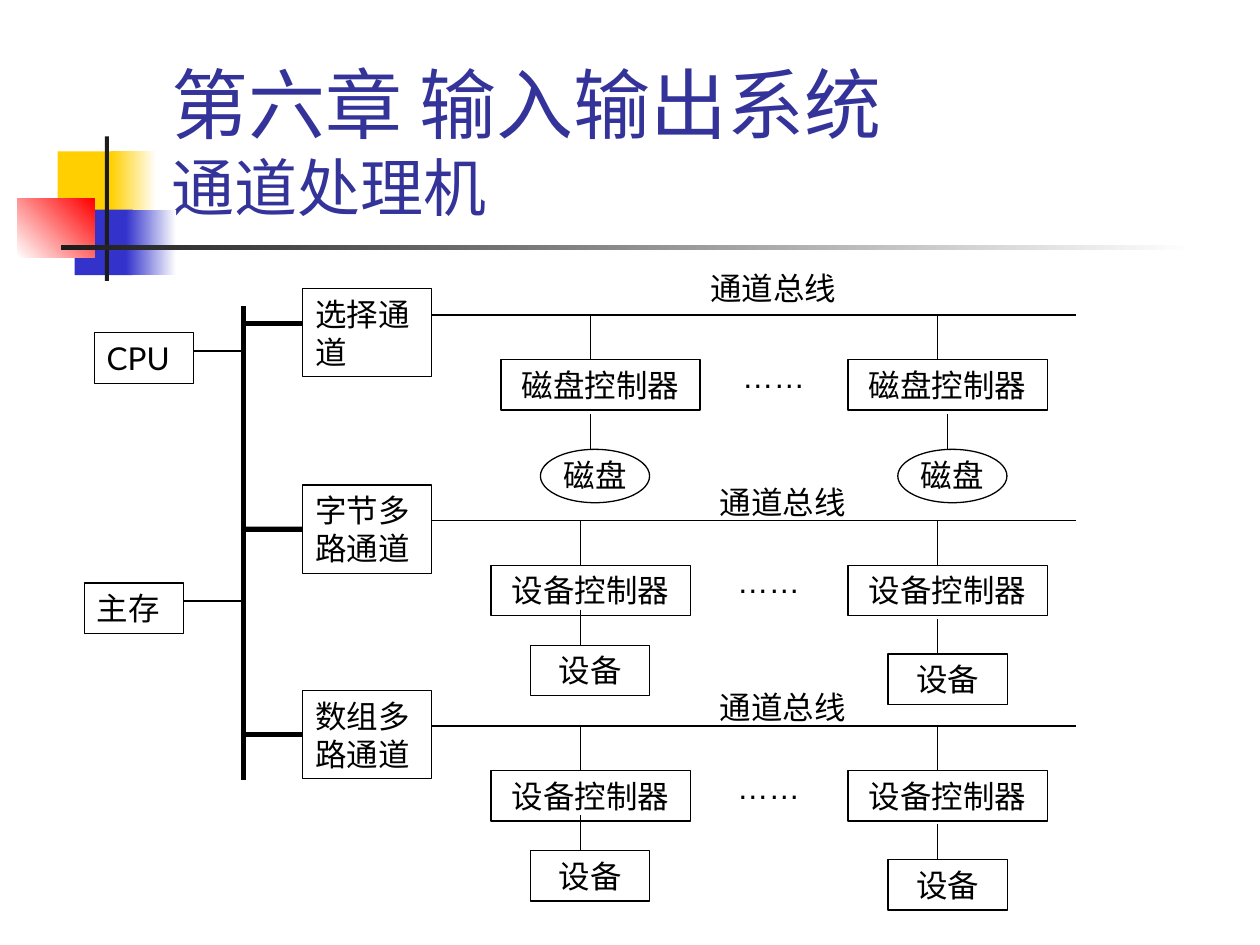
from dataclasses import dataclass

from lxml import etree
from pptx import Presentation
from pptx.dml.color import RGBColor
from pptx.enum import shapes, text
from pptx.oxml.ns import qn
from pptx.util import Pt

COLORS = {
    "yellow": "FFCF01", "blue": "3333CC", "red": "FF0000", "white": "FFFFFF",
    "dark": "1C1C1C", "title": "333399", "ink": "000000",
}
RECT, OVAL = shapes.MSO_SHAPE.RECTANGLE, shapes.MSO_SHAPE.OVAL
THIN, THICK = 0.75, 3
LEFT, CENTER = text.PP_ALIGN.LEFT, text.PP_ALIGN.CENTER

BOX_HEIGHT = 28.8
TRUNK_X = 139
CHANNEL_X, CHANNEL_WIDTH, CHANNEL_HEIGHT = 173, 73.5, 50.4
BUS_END = 615
FIRST_BUS_Y, BUS_PITCH = 180, 117.4
CONTROLLER_WIDTH, CONTROLLER_DROP = 113.8, 25.6


@dataclass
class Block:
    """A decorative rectangle, plain or fading from start to end colour."""
    left: float
    top: float
    width: float
    height: float
    start: str
    end: str = ""
    angle: float = 0


@dataclass
class Unit:
    """A controller with its device, hanging from a bus."""
    drop_x: float
    controller_x: float
    stem_x: float
    stem_top: float
    device_x: float
    device_top: float


@dataclass
class Channel:
    name: str
    box_rise: float
    label_x: float
    label_width: float
    label_rise: float
    dots_x: float
    dots_width: float
    controller: str
    device: str
    device_shape: int
    device_width: float
    units: tuple


def rgb(name: str) -> RGBColor:
    return RGBColor.from_string(COLORS[name])


def add_block(page, block: Block) -> None:
    shape = page.shapes.add_shape(
        RECT, Pt(block.left), Pt(block.top), Pt(block.width), Pt(block.height))
    shape.shadow.inherit = False
    shape.line.fill.background()
    if not block.end:
        shape.fill.solid()
        shape.fill.fore_color.rgb = rgb(block.start)
        return
    shape.fill.gradient()
    shape.fill.gradient_angle = block.angle
    for stop, position, color in zip(
            shape.fill.gradient_stops, (0, 1), (block.start, block.end)):
        stop.position = position
        stop.color.rgb = rgb(color)


def add_line(group, x1: float, y1: float, x2: float, y2: float, width: float = THIN):
    line = group.shapes.add_connector(
        shapes.MSO_CONNECTOR.STRAIGHT, Pt(x1), Pt(y1), Pt(x2), Pt(y2))
    line.line.color.rgb = rgb("ink")
    line.line.width = Pt(width)
    etree.SubElement(line._element.spPr, qn("a:effectLst"))
    return line


def write(box, words: str, align=CENTER, font: str = "Lato") -> None:
    frame = box.text_frame
    frame.word_wrap = True
    frame.vertical_anchor = text.MSO_ANCHOR.TOP
    para = frame.paragraphs[0]
    para.text = words
    para.alignment = align
    para.font.name = font
    para.font.size = Pt(18)
    para.font.color.rgb = rgb("ink")


def add_outline(group, kind, left: float, top: float, width: float, height: float):
    shape = group.shapes.add_shape(kind, Pt(left), Pt(top), Pt(width), Pt(height))
    shape.shadow.inherit = False
    shape.fill.background()
    shape.line.color.rgb = rgb("ink")
    shape.line.width = Pt(THIN)
    return shape


def add_box(group, words: str, left: float, top: float, width: float,
            height: float = BOX_HEIGHT, align=CENTER):
    box = add_outline(group, RECT, left, top, width, height)
    write(box, words, align)
    return box


def add_label(group, words: str, left: float, top: float, width: float,
              font: str = "Lato") -> None:
    box = group.shapes.add_textbox(Pt(left), Pt(top), Pt(width), Pt(BOX_HEIGHT))
    write(box, words, font=font)


def add_unit(group, channel: Channel, unit: Unit, bus_y: float) -> None:
    controller_y = bus_y + CONTROLLER_DROP
    device_y = bus_y + unit.device_top
    add_line(group, unit.drop_x, bus_y, unit.drop_x, controller_y)
    add_box(group, channel.controller, unit.controller_x, controller_y, CONTROLLER_WIDTH)
    add_line(group, unit.stem_x, bus_y + unit.stem_top, unit.stem_x, device_y)
    if channel.device_shape == OVAL:
        add_outline(group, OVAL, unit.device_x, device_y, channel.device_width, 30.5)
        add_label(group, channel.device, unit.device_x, device_y, channel.device_width)
    else:
        add_box(group, channel.device, unit.device_x, device_y, channel.device_width)


def add_channel(group, channel: Channel, bus_y: float) -> None:
    box_y = bus_y - channel.box_rise
    link_y = bus_y + 5
    box = add_box(group, channel.name, CHANNEL_X, box_y, CHANNEL_WIDTH,
                  CHANNEL_HEIGHT, LEFT)
    link = add_line(group, TRUNK_X, link_y, CHANNEL_X, link_y, THICK)
    if abs(box_y + CHANNEL_HEIGHT / 2 - link_y) < 0.5:
        link.end_connect(box, 1)
    add_line(group, CHANNEL_X + CHANNEL_WIDTH, bus_y, BUS_END, bus_y)
    add_label(group, "通道总线", channel.label_x, bus_y - channel.label_rise,
              channel.label_width)
    add_label(group, "……", channel.dots_x, bus_y + 20.5, channel.dots_width, "Arial")
    for unit in channel.units:
        add_unit(group, channel, unit, bus_y)


def add_title(page) -> None:
    title = page.shapes.title
    title.left, title.top, title.width, title.height = Pt(90.7), Pt(16.6), Pt(613.4), Pt(115.2)
    frame = title.text_frame
    frame.word_wrap = True
    frame.auto_size = text.MSO_AUTO_SIZE.NONE
    frame.vertical_anchor = text.MSO_ANCHOR.BOTTOM
    para = frame.paragraphs[0]
    para.alignment = LEFT
    para.font.name = "Lato"
    para.font.color.rgb = rgb("title")
    chapter = para.add_run()
    chapter.text, chapter.font.size = "第六章 输入输出系统", Pt(44)
    para.add_line_break()
    topic = para.add_run()
    topic.text, topic.font.size = "通道处理机", Pt(36)


BLOCKS = (
    Block(33, 86.5, 34.5, 37.5, "yellow"),
    Block(63.4, 86.5, 26, 37.5, "yellow", "white"),
    Block(42.6, 119.8, 33.2, 37.4, "blue"),
    Block(72, 119.8, 28.6, 37.4, "blue", "white"),
    Block(9.8, 113.7, 44.3, 33.3, "white", "red", 45),
    Block(59.9, 78, 2.4, 82.6, "dark"),
    Block(34.8, 140.2, 648, 2.4, "dark", "white"),
)
DISK_UNITS = (Unit(337.5, 286.3, 337.5, 56.3, 308.8, 76.8),
              Unit(535.6, 484.6, 541.4, 56.3, 513, 76.8))
DEVICE_UNITS = (Unit(331.8, 280.6, 331.8, 51, 303.1, 71.3),
                Unit(535.6, 484.6, 535.6, 56.3, 507.4, 76.4))
DISK = (393.5, 96.5, 30, 405.4, 73.4, "磁盘控制器", "磁盘", OVAL, 62.4, DISK_UNITS)
DEVICE = (388, 118.8, 25.2, 399.6, 79.2, "设备控制器", "设备", RECT, 68.2, DEVICE_UNITS)
CHANNELS = (
    Channel("选择通道", 15.1, *DISK),
    Channel("字节多路通道", 20.2, *DEVICE),
    Channel("数组多路通道", 20.2, *DEVICE),
)


def main() -> None:
    deck = Presentation()
    deck.slide_width, deck.slide_height = Pt(720), Pt(540)
    page = deck.slides.add_slide(deck.slide_layouts[5])
    for block in BLOCKS:
        add_block(page, block)
    add_title(page)

    group = page.shapes.add_group_shape()
    add_line(group, TRUNK_X, 175, TRUNK_X, 445.5, THICK)
    for words, left, top in (("CPU", 53.9, 190.2), ("主存", 48.2, 333.1)):
        add_box(group, words, left, top, 56.8, align=LEFT)
        add_line(group, left + 56.8, top + 10.4, TRUNK_X, top + 10.4)
    for index, channel in enumerate(CHANNELS):
        add_channel(group, channel, FIRST_BUS_Y + index * BUS_PITCH)
    deck.save("out.pptx")


if __name__ == "__main__":
    main()
